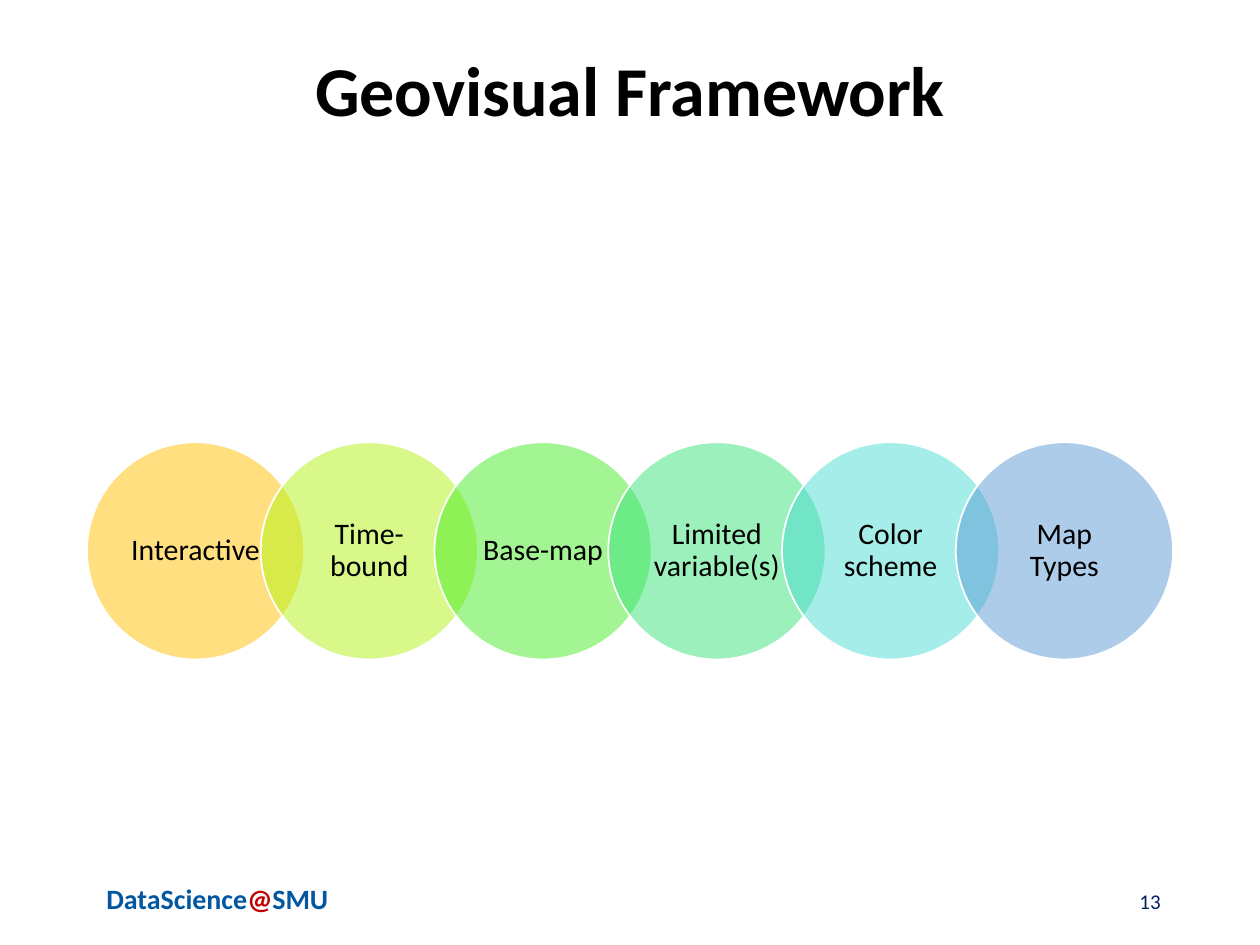
from typing import NamedTuple

from lxml.etree import SubElement
from pptx import Presentation
from pptx.dml.color import RGBColor
from pptx.enum.shapes import MSO_SHAPE
from pptx.enum.text import MSO_ANCHOR, PP_ALIGN
from pptx.oxml.ns import qn
from pptx.util import Inches, Pt

FONT = "Calibri"
BLACK, WHITE, NAVY, BLUE, RED = "000000", "FFFFFF", "002060", "0257A1", "C00000"
SLIDE_WIDTH, SLIDE_HEIGHT = 10, 7.5
MARGIN = 0.69
CONTENT_WIDTH = SLIDE_WIDTH - 2 * MARGIN
OVERLAP = 0.2  # share of a circle's diameter
CIRCLES_TOP = 3.51
FOOTER_TOP = 6.95


class Run(NamedTuple):
    text: str
    color: str = BLACK


class Box(NamedTuple):
    left: float
    top: float
    width: float
    height: float


class Circle(NamedTuple):
    label: str
    color: str


CIRCLES = [
    Circle("Interactive", "FFC000"),
    Circle("Time-bound", "B2F514"),
    Circle("Base-map", "46EC27"),
    Circle("Limited variable(s)", "39E37B"),
    Circle("Color scheme", "4ADCD2"),
    Circle("Map Types", "5B9BD5"),
]


def rgb(color: str) -> RGBColor:
    return RGBColor.from_string(color)


def write_text(shape, runs: list[Run], size: float, align=PP_ALIGN.CENTER,
               anchor=MSO_ANCHOR.MIDDLE, bold: bool = False,
               line_spacing: float = 1.0) -> None:
    frame = shape.text_frame
    frame.word_wrap = True
    frame.vertical_anchor = anchor
    paragraph = frame.paragraphs[0]
    paragraph.alignment = align
    paragraph.line_spacing = line_spacing
    for item in runs:
        run = paragraph.add_run()
        run.text = item.text
        run.font.name = FONT
        run.font.size = Pt(size)
        run.font.bold = bold
        run.font.color.rgb = rgb(item.color)


def add_text_box(slide, box: Box, runs: list[Run], size: float, **style) -> None:
    shape = slide.shapes.add_textbox(*map(Inches, box))
    write_text(shape, runs, size, **style)


def set_opacity(shape, percent: int) -> None:
    color = shape.fill._xPr.find(qn("a:solidFill"))[0]
    SubElement(color, qn("a:alpha")).set("val", str(percent * 1000))


def add_circle(slide, circle: Circle, left: float, diameter: float) -> None:
    box = Box(left, CIRCLES_TOP, diameter, diameter)
    shape = slide.shapes.add_shape(MSO_SHAPE.OVAL, *map(Inches, box))
    shape.shadow.inherit = False
    shape.fill.solid()
    shape.fill.fore_color.rgb = rgb(circle.color)
    set_opacity(shape, 50)
    shape.line.color.rgb = rgb(WHITE)
    shape.line.width = Pt(1)
    frame = shape.text_frame
    frame.margin_left = frame.margin_right = Inches(0.09)
    frame.margin_top = frame.margin_bottom = Inches(0.02)
    write_text(shape, [Run(circle.label)], 17, line_spacing=0.9)


def add_circle_chain(slide, circles: list[Circle]) -> None:
    """Spread equal, overlapping circles over the content width."""
    step_share = 1 - OVERLAP
    diameter = CONTENT_WIDTH / (1 + step_share * (len(circles) - 1))
    for index, circle in enumerate(circles):
        add_circle(slide, circle, MARGIN + index * step_share * diameter, diameter)


def main() -> None:
    presentation = Presentation()
    presentation.slide_width = Inches(SLIDE_WIDTH)
    presentation.slide_height = Inches(SLIDE_HEIGHT)
    slide = presentation.slides.add_slide(presentation.slide_layouts[6])

    add_text_box(slide, Box(MARGIN, FOOTER_TOP, 2.07, 0.53),
                 [Run("DataScience", BLUE), Run("@", RED), Run("SMU", BLUE)],
                 16, anchor=MSO_ANCHOR.TOP, bold=True)
    add_text_box(slide, Box(MARGIN, 0.02, CONTENT_WIDTH, 1.45),
                 [Run("Geovisual Framework")], 40, bold=True, line_spacing=0.9)
    number_width = 2.25
    add_text_box(slide, Box(SLIDE_WIDTH - MARGIN - number_width, FOOTER_TOP, number_width, 0.4),
                 [Run("13", NAVY)], 12, align=PP_ALIGN.RIGHT)
    add_circle_chain(slide, CIRCLES)

    presentation.save("out.pptx")


if __name__ == "__main__":
    main()
